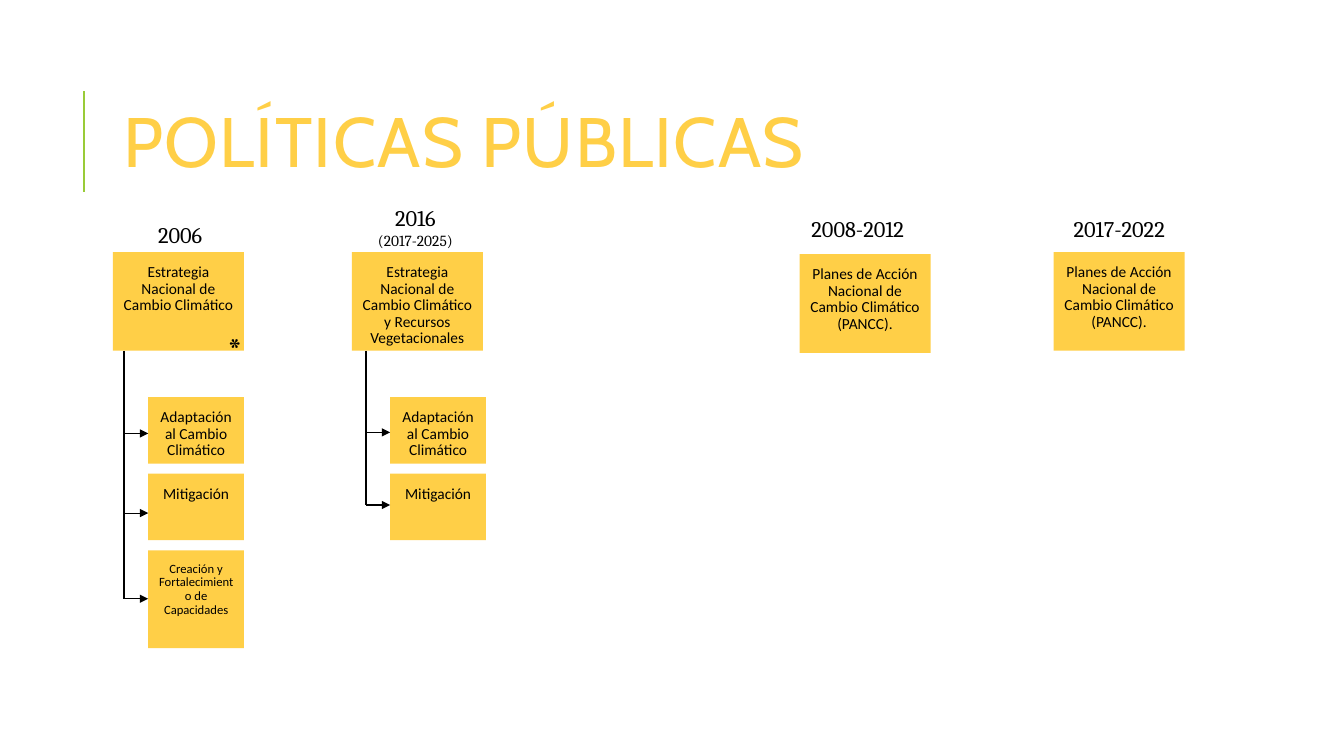
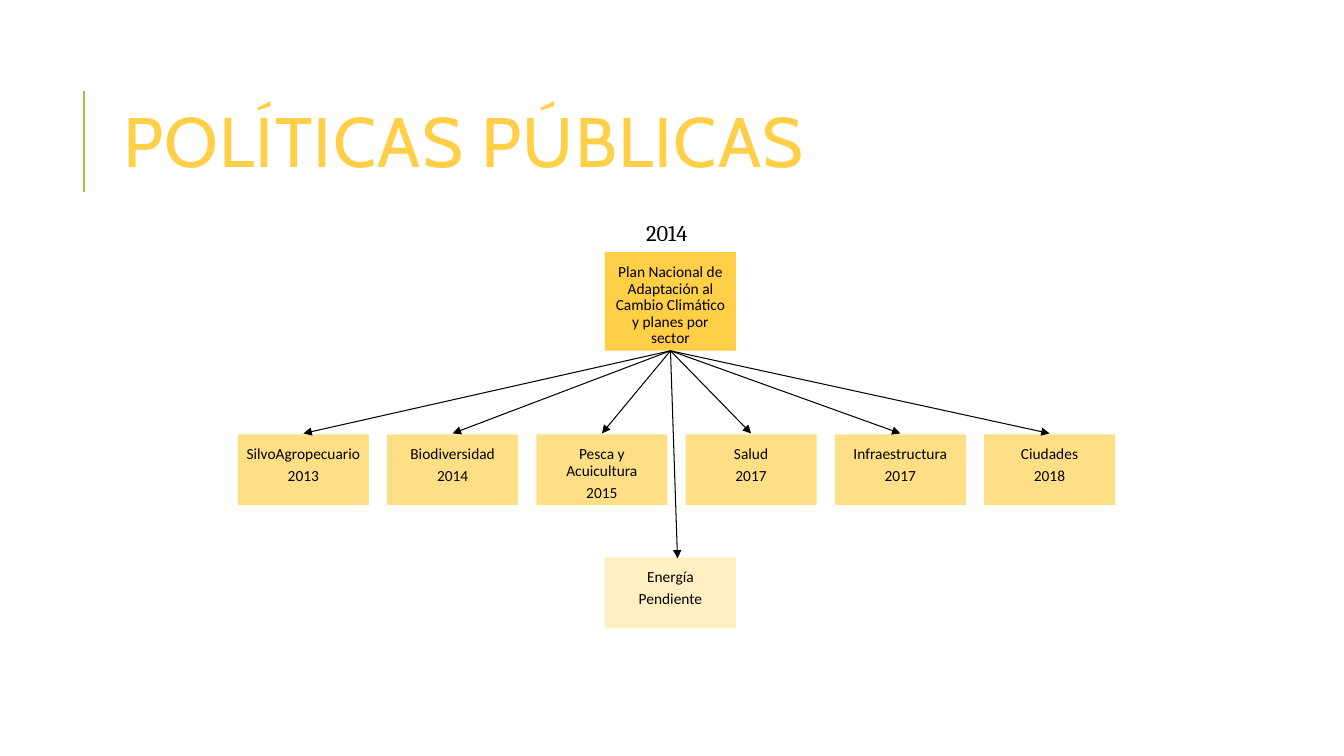
from dataclasses import dataclass

from lxml.etree import SubElement
from pptx import Presentation
from pptx.dml.color import RGBColor
from pptx.enum.shapes import MSO_CONNECTOR, MSO_SHAPE
from pptx.enum.text import MSO_ANCHOR, PP_ALIGN
from pptx.oxml.ns import qn
from pptx.slide import Slide, SlideLayout
from pptx.text.text import TextFrame
from pptx.util import Inches, Pt

COLORS = {
    "title": "FFCF47",
    "strong": "FFCF47",
    "medium": "FFDF85",
    "light": "FFEFC2",
    "accent": "99CB38",
    "ink": "000000",
}
TITLE = "POLÍTICAS PÚBLICAS"
TITLE_FONT, BOX_FONT, YEAR_FONT = "Cabin", "Calibri", "Cambria"
BOX_W, BOX_H = 1.3, 0.98
SECTOR_H = 0.7


@dataclass
class Box:
    left: float
    top: float
    width: float
    height: float
    lines: list[str]
    size: float = 11
    fill: str = "strong"


@dataclass
class Label:
    left: float
    top: float
    width: float
    height: float
    lines: list[str]
    sizes: list[float]
    align: PP_ALIGN = PP_ALIGN.LEFT


@dataclass
class Branch:
    trunk_x: float
    box_left: float
    arrow_tops: list[float]
    boxes: list[tuple[str, float, float]]


def rgb(name: str) -> RGBColor:
    return RGBColor.from_string(COLORS[name])


def write(tf: TextFrame, lines: list[str], sizes: list[float], font: str,
          color: str, align: PP_ALIGN) -> None:
    tf.word_wrap = True
    for i, (line, size) in enumerate(zip(lines, sizes)):
        p = tf.paragraphs[0] if i == 0 else tf.add_paragraph()
        p.text = line
        p.alignment = align
        for r in p.runs:
            r.font.name = font
            r.font.size = Pt(size)
            r.font.color.rgb = rgb(color)


def add_line(s: Slide, start: tuple[float, float], end: tuple[float, float],
             arrow: bool = False, color: str = "ink", width: float = 0.75) -> None:
    ends = [Inches(v) for v in (*start, *end)]
    line = s.shapes.add_connector(MSO_CONNECTOR.STRAIGHT, *ends)
    line.line.color.rgb = rgb(color)
    line.line.width = Pt(width)
    if arrow:
        ln = line.line._get_or_add_ln()
        SubElement(ln, qn("a:tailEnd"), type="triangle")
    SubElement(line.element.spPr, qn("a:effectLst"))


def add_box(s: Slide, box: Box) -> None:
    sp = s.shapes.add_shape(MSO_SHAPE.RECTANGLE, Inches(box.left), Inches(box.top),
                            Inches(box.width), Inches(box.height))
    sp.shadow.inherit = False
    sp.fill.solid()
    sp.fill.fore_color.rgb = rgb(box.fill)
    sp.line.fill.background()
    tf = sp.text_frame
    tf.vertical_anchor = MSO_ANCHOR.TOP
    tf.margin_left = tf.margin_right = Inches(0.08)
    tf.margin_top, tf.margin_bottom = Inches(0.12), 0
    write(tf, box.lines, [box.size] * len(box.lines), BOX_FONT, "ink", PP_ALIGN.CENTER)
    for p in tf.paragraphs:
        p.line_spacing = 0.9
        p.space_after = Pt(box.size * 0.35)


def add_label(s: Slide, label: Label) -> None:
    sp = s.shapes.add_textbox(Inches(label.left), Inches(label.top),
                              Inches(label.width), Inches(label.height))
    write(sp.text_frame, label.lines, label.sizes, YEAR_FONT, "ink", label.align)


def add_branch(s: Slide, branch: Branch) -> None:
    for text, height, size in branch.boxes:
        i = branch.boxes.index((text, height, size))
        add_box(s, Box(branch.box_left, 3.94 + i * 0.76, 0.95, height, [text], size))
    add_line(s, (branch.trunk_x, 3.48), (branch.trunk_x, branch.arrow_tops[-1]))
    for y in branch.arrow_tops:
        add_line(s, (branch.trunk_x, y), (branch.box_left, y), arrow=True)


def add_base(prs: Presentation, layout: SlideLayout) -> Slide:
    s = prs.slides.add_slide(layout)
    add_line(s, (0.83, 1.9), (0.83, 0.9), color="accent", width=1.5)
    title = s.shapes.title
    title.left, title.top = Inches(1.12), Inches(0.64)
    title.width, title.height = Inches(10.63), Inches(1.64)
    tf = title.text_frame
    tf.vertical_anchor = MSO_ANCHOR.MIDDLE
    write(tf, [TITLE], [50], TITLE_FONT, "title", PP_ALIGN.LEFT)
    p = tf.paragraphs[0]
    p.line_spacing = 0.8
    p.runs[0].font._element.set("spc", "100")
    return s


def build_strategies(s: Slide) -> None:
    strategy = "Estrategia Nacional de Cambio Climático"
    plan = "Planes de Acción Nacional de Cambio Climático (PANCC)."
    for left, top, text in [
        (1.12, 2.5, strategy),
        (3.49, 2.5, f"{strategy} y Recursos Vegetacionales"),
        (7.93, 2.52, plan),
        (10.45, 2.5, plan),
    ]:
        add_box(s, Box(left, top, BOX_W, BOX_H, [text]))

    for label in [
        Label(1.47, 2.14, 1.29, 0.37, ["2006"], [16]),
        Label(2.99, 1.98, 2.26, 0.57, ["2016", "(2017-2025)"], [16, 11], PP_ALIGN.CENTER),
        Label(7.95, 2.09, 1.29, 0.37, ["2008-2012"], [16]),
        Label(10.55, 2.09, 1.29, 0.37, ["2017-2022"], [16]),
        Label(2.16, 3.2, 0.78, 0.5, ["*"], [24]),
    ]:
        add_label(s, label)

    axes = [("Adaptación al Cambio Climático", 0.66, 11), ("Mitigación", 0.66, 11)]
    capacities = ("Creación y Fortalecimiento de Capacidades", 0.97, 9)
    add_branch(s, Branch(1.23, 1.47, [4.3, 5.09, 5.94], [*axes, capacities]))
    add_branch(s, Branch(3.63, 3.87, [4.29, 5.01], axes))


def build_sectors(s: Slide) -> None:
    add_box(s, Box(6, 2.5, BOX_W, BOX_H,
                   ["Plan Nacional de Adaptación al Cambio Climático y planes por sector"]))
    add_label(s, Label(6.31, 2.12, 1.29, 0.37, ["2014"], [16]))
    add_box(s, Box(6, 5.53, BOX_W, SECTOR_H, ["Energía", "Pendiente"], fill="light"))

    origin = (6.65, 3.48)
    sectors = [
        ("SilvoAgropecuario", "2013"),
        ("Biodiversidad", "2014"),
        ("Pesca y Acuicultura", "2015"),
        ("Salud", "2017"),
        ("Infraestructura", "2017"),
        ("Ciudades", "2018"),
    ]
    for i, sector in enumerate(sectors):
        left = 2.36 + i * 1.48
        add_box(s, Box(left, 4.31, BOX_W, SECTOR_H, list(sector), fill="medium"))
        add_line(s, origin, (left + BOX_W / 2, 4.3), arrow=True)
    add_line(s, origin, (6.72, 5.54), arrow=True)


def main() -> None:
    prs = Presentation()
    prs.slide_width, prs.slide_height = Inches(13.33), Inches(7.5)
    layout = prs.slide_layouts.get_by_name("Title Only")
    for build in (build_strategies, build_sectors):
        build(add_base(prs, layout))
    prs.save("out.pptx")


if __name__ == "__main__":
    main()
